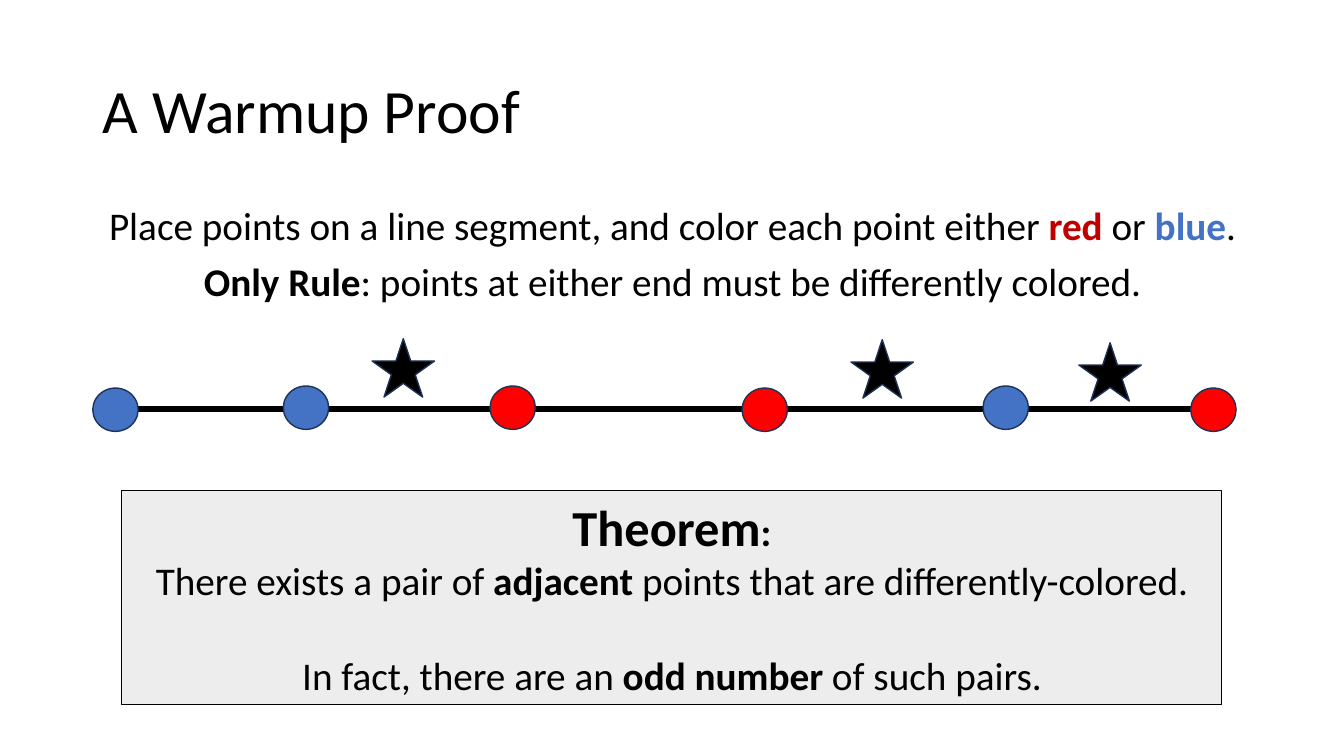
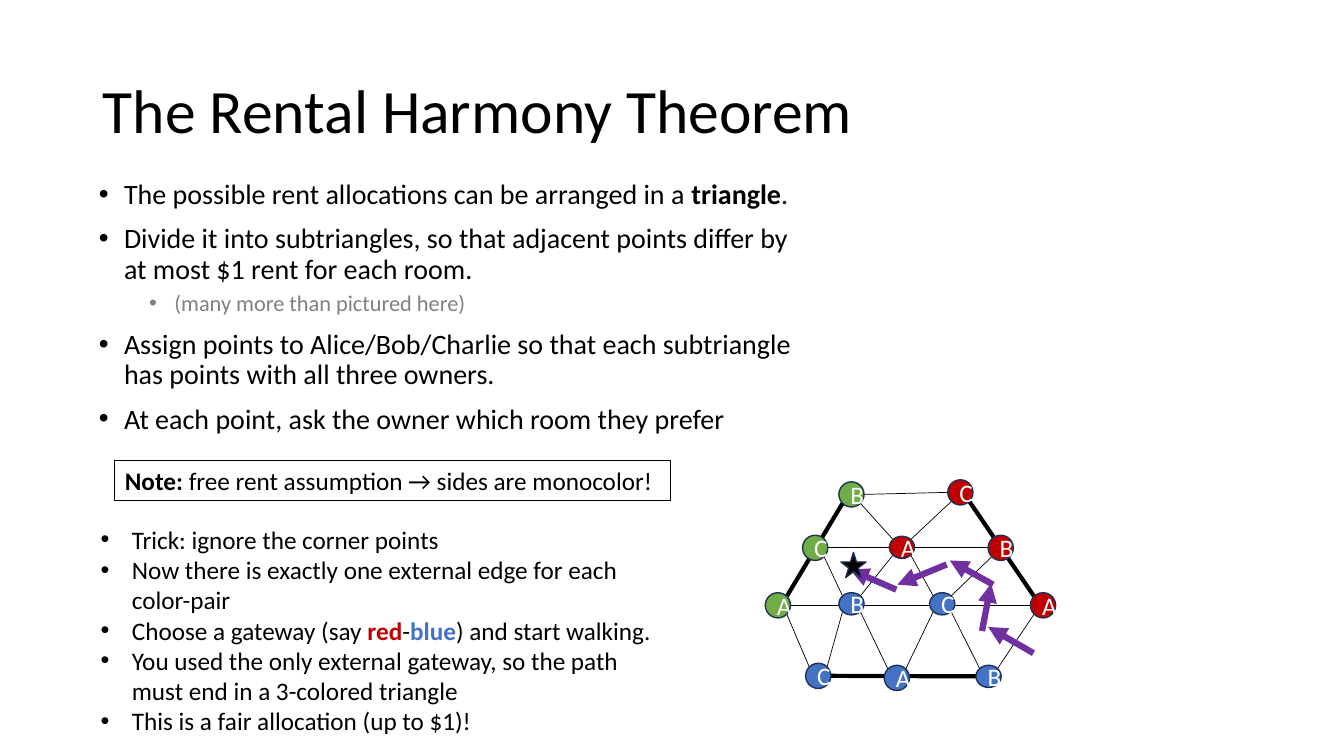
import math

from lxml import etree
from pptx import Presentation
from pptx.dml.color import RGBColor
from pptx.enum.shapes import MSO_CONNECTOR, MSO_SHAPE
from pptx.enum.text import MSO_ANCHOR, MSO_AUTO_SIZE, PP_ALIGN
from pptx.oxml.ns import qn
from pptx.util import Inches, Pt

STRAIGHT = MSO_CONNECTOR.STRAIGHT
OVAL, STAR, RECTANGLE = MSO_SHAPE.OVAL, MSO_SHAPE.STAR_5_POINT, MSO_SHAPE.RECTANGLE
LEFT, CENTER = PP_ALIGN.LEFT, PP_ALIGN.CENTER
TOP, MIDDLE = MSO_ANCHOR.TOP, MSO_ANCHOR.MIDDLE
FIXED, GROW = MSO_AUTO_SIZE.NONE, MSO_AUTO_SIZE.SHAPE_TO_FIT_TEXT

FONT = "Calibri"
BLACK, WHITE, GREY, PALE = "000000", "FFFFFF", "808080", "EDEDED"
BLUE, RED, BRIGHT_RED, GREEN, PURPLE = "4472C4", "C00000", "FF0000", "70AD47", "7030A0"
OUTLINE = "1E3256"
TITLE_BOX = (0.92, 0.4, 11.5, 1.45)

# Plain strings are regular runs; tuples are bold runs: (text, colour, size).
WARMUP_TITLE = "A Warmup Proof"
WARMUP_RULES = [
    ["Place points on a line segment, and color each point either ",
     ("red", RED), " or ", ("blue", BLUE), "."],
    [("Only Rule",), ": points at either end must be differently colored."],
]
THEOREM = [
    [("Theorem", BLACK, 36), (":",)],
    ["There exists a pair of ", ("adjacent",), " points that are differently-colored."],
    ["In fact, there are an ", ("odd number",), " of such pairs."],
]
SEGMENT_POINTS = [
    (0.92, 3.85, BLUE), (2.81, 3.83, BLUE), (4.86, 3.83, BRIGHT_RED),
    (7.36, 3.85, BRIGHT_RED), (9.75, 3.83, BLUE), (11.81, 3.85, BRIGHT_RED),
]
POINT_WIDTH, POINT_HEIGHT = 0.45, 0.43
SEGMENT_Y = 4.06
SEGMENT_STARS = [(3.69, 3.36), (8.44, 3.37), (10.7, 3.4)]

HARMONY_TITLE = "The Rental Harmony Theorem"
HARMONY_STEPS = [
    (0, ["The possible rent allocations can be arranged in a ", ("triangle",), "."]),
    (0, ["Divide it into subtriangles, so that adjacent points differ by "
         "at most $1 rent for each room."]),
    (1, ["(many more than pictured here)"]),
    (0, ["Assign points to Alice/Bob/Charlie so that each subtriangle "
         "has points with all three owners."]),
    (0, ["At each point, ask the owner which room they prefer"]),
]
NOTE = [[("Note:",), " free rent assumption → sides are monocolor!"]]
TRICK_STEPS = [
    ["Trick: ignore the corner points"],
    ["Now there is exactly one external edge for each color-pair"],
    ["Choose a gateway (say ", ("red", RED), "-", ("blue", BLUE), ") and start walking."],
    ["You used the only external gateway, so the path must end in a 3-colored triangle"],
    ["This is a fair allocation (up to $1)!"],
]
NODE_WIDTH = 0.25
NODES = {
    "top left": ("B", 8.32, 4.78, 0.25, GREEN),
    "top right": ("C", 9.4, 4.76, 0.25, RED),
    "upper left": ("C", 7.96, 5.31, 0.25, GREEN),
    "upper middle": ("A", 8.82, 5.32, 0.22, RED),
    "upper right": ("B", 9.8, 5.31, 0.25, RED),
    "lower left": ("A", 7.59, 5.88, 0.25, GREEN),
    "lower inner left": ("B", 8.32, 5.88, 0.22, BLUE),
    "lower inner right": ("C", 9.22, 5.88, 0.22, BLUE),
    "lower right": ("A", 10.22, 5.88, 0.25, RED),
    "base left": ("C", 7.99, 6.58, 0.25, BLUE),
    "base middle": ("A", 8.77, 6.6, 0.25, BLUE),
    "base right": ("B", 9.68, 6.6, 0.22, BLUE),
}
THICK_EDGES = [
    ("top left", "lower left"), ("top right", "lower right"), ("base left", "base right"),
]
THIN_EDGES = [
    ("top left", "top right"), ("upper left", "upper right"), ("lower left", "lower right"),
    ("top left", "upper middle"), ("top right", "upper middle"),
    ("upper left", "lower inner left"), ("upper middle", "lower inner left"),
    ("upper middle", "lower inner right"), ("upper right", "lower inner right"),
    ("lower left", "base left"), ("lower inner left", "base left"),
    ("lower inner left", "base middle"), ("lower inner right", "base middle"),
    ("lower inner right", "base right"), ("lower right", "base right"),
]
WALK = [
    ((10.25, 6.48), (9.8, 6.22)), ((9.74, 6.26), (9.83, 5.79)),
    ((9.85, 5.8), (9.42, 5.56)), ((9.39, 5.6), (8.9, 5.8)), ((8.89, 5.85), (8.43, 5.65)),
]


def rgb(value):
    return RGBColor.from_string(value)


def place(shape, box):
    shape.left, shape.top, shape.width, shape.height = map(Inches, box)


def write(shape, paragraphs, size, colour=BLACK, align=LEFT, anchor=TOP, fit=FIXED):
    frame = shape.text_frame
    frame.word_wrap = True
    frame.auto_size = fit
    frame.vertical_anchor = anchor
    for index, runs in enumerate(paragraphs):
        paragraph = frame.add_paragraph() if index else frame.paragraphs[0]
        paragraph.alignment = align
        for item in runs:
            bold = isinstance(item, tuple)
            text, run_colour, run_size = ((*item, colour, size)[:1] + (
                item[1] if len(item) > 1 else colour,
                item[2] if len(item) > 2 else size)) if bold else (item, colour, size)
            run = paragraph.add_run()
            run.text = text
            run.font.name, run.font.size, run.font.bold = FONT, Pt(run_size), bold
            run.font.color.rgb = rgb(run_colour)
    return frame.paragraphs


def space(paragraph, before):
    paragraph.line_spacing = 0.9
    paragraph.space_before = Pt(before)


def set_bullet(paragraph, margin=0, hanging=0, character=None):
    properties = paragraph._p.get_or_add_pPr()
    properties.set("marL", str(Inches(margin)))
    properties.set("indent", str(Inches(-hanging)))
    if character:
        etree.SubElement(properties, qn("a:buFont"), typeface="Arial")
        etree.SubElement(properties, qn("a:buChar"), char=character)
    else:
        etree.SubElement(properties, qn("a:buNone"))


def add_slide(presentation, title, body_box):
    slide = presentation.slides.add_slide(presentation.slide_layouts[1])
    place(slide.shapes.title, TITLE_BOX)
    space(write(slide.shapes.title, [[title]], 44, anchor=MIDDLE)[0], 0)
    body = slide.placeholders[1]
    place(body, body_box)
    return slide, body


def add_shape(slide, kind, box, fill, line=OUTLINE, width=1):
    shape = slide.shapes.add_shape(kind, *map(Inches, box))
    shape.shadow.inherit = False
    shape.fill.solid()
    shape.fill.fore_color.rgb = rgb(fill)
    shape.line.color.rgb = rgb(line)
    shape.line.width = Pt(width)
    return shape


def add_line(slide, start, end, width, colour=BLACK, arrow=False):
    line = slide.shapes.add_connector(STRAIGHT, *map(Inches, (*start, *end)))
    line.line.color.rgb = rgb(colour)
    line.line.width = Pt(width)
    if arrow:
        etree.SubElement(line.line._get_or_add_ln(), qn("a:tailEnd"), type="triangle")
    etree.SubElement(line._element.spPr, qn("a:effectLst"))


def center(name):
    _, left, top, height, _ = NODES[name]
    return left + NODE_WIDTH / 2, top + height / 2


def rim_point(name, toward):
    (x, y), (target_x, target_y) = center(name), center(toward)
    eighth = math.pi / 4
    angle = round(math.atan2(target_y - y, target_x - x) / eighth) * eighth
    return x + NODE_WIDTH / 2 * math.cos(angle), y + NODES[name][3] / 2 * math.sin(angle)


def build_warmup(presentation):
    slide, body = add_slide(presentation, WARMUP_TITLE, (0.92, 2, 11.5, 1.25))
    for paragraph in write(body, WARMUP_RULES, 28, align=CENTER):
        space(paragraph, 10)
        set_bullet(paragraph)
    first, last = SEGMENT_POINTS[0][0], SEGMENT_POINTS[-1][0]
    add_line(slide, (first + POINT_WIDTH, SEGMENT_Y), (last, SEGMENT_Y), 4.5)
    for left, top, colour in SEGMENT_POINTS:
        add_shape(slide, OVAL, (left, top, POINT_WIDTH, POINT_HEIGHT), colour)
    for left, top in SEGMENT_STARS:
        add_shape(slide, STAR, (left, top, 0.62, 0.58), BLACK)
    theorem = add_shape(slide, RECTANGLE, (1.21, 4.87, 10.91, 2.12), PALE, BLACK, 0.75)
    write(theorem, THEOREM, 28, align=CENTER, fit=GROW)[-1].space_before = Pt(34)


def build_harmony(presentation):
    slide, body = add_slide(presentation, HARMONY_TITLE, (0.88, 1.74, 7.27, 4.48))
    paragraphs = write(body, [runs for _, runs in HARMONY_STEPS], 20)
    for paragraph, (level, _) in zip(paragraphs, HARMONY_STEPS):
        paragraph.level = level
        space(paragraph, 5 if level else 10)
        set_bullet(paragraph, 0.25 + 0.5 * level, 0.25, "•")
        if level:
            for run in paragraph.runs:
                run.font.size = Pt(16)
                run.font.color.rgb = rgb(GREY)

    for edges, width in ((THIN_EDGES, 0.5), (THICK_EDGES, 3)):
        for start, end in edges:
            add_line(slide, rim_point(start, end), rim_point(end, start), width)
    for owner, left, top, height, colour in NODES.values():
        node = add_shape(slide, OVAL, (left, top, NODE_WIDTH, height), colour)
        write(node, [[owner]], 18, WHITE, CENTER, MIDDLE)

    note = slide.shapes.add_textbox(*map(Inches, (1.14, 4.57, 5.51, 0.4)))
    note.line.color.rgb = rgb(BLACK)
    note.line.width = Pt(0.75)
    write(note, NOTE, 18, fit=GROW)
    trick = slide.shapes.add_textbox(*map(Inches, (0.9, 5.15, 5.77, 2.22)))
    for paragraph in write(trick, TRICK_STEPS, 18, fit=GROW):
        set_bullet(paragraph, 0.31, 0.31, "•")

    for start, end in WALK:
        add_line(slide, start, end, 4.5, PURPLE, arrow=True)
    add_shape(slide, STAR, (8.34, 5.48, 0.25, 0.25), BLACK)


def main():
    presentation = Presentation()
    presentation.slide_width, presentation.slide_height = Inches(13.33), Inches(7.5)
    build_warmup(presentation)
    build_harmony(presentation)
    presentation.save("out.pptx")


if __name__ == "__main__":
    main()
